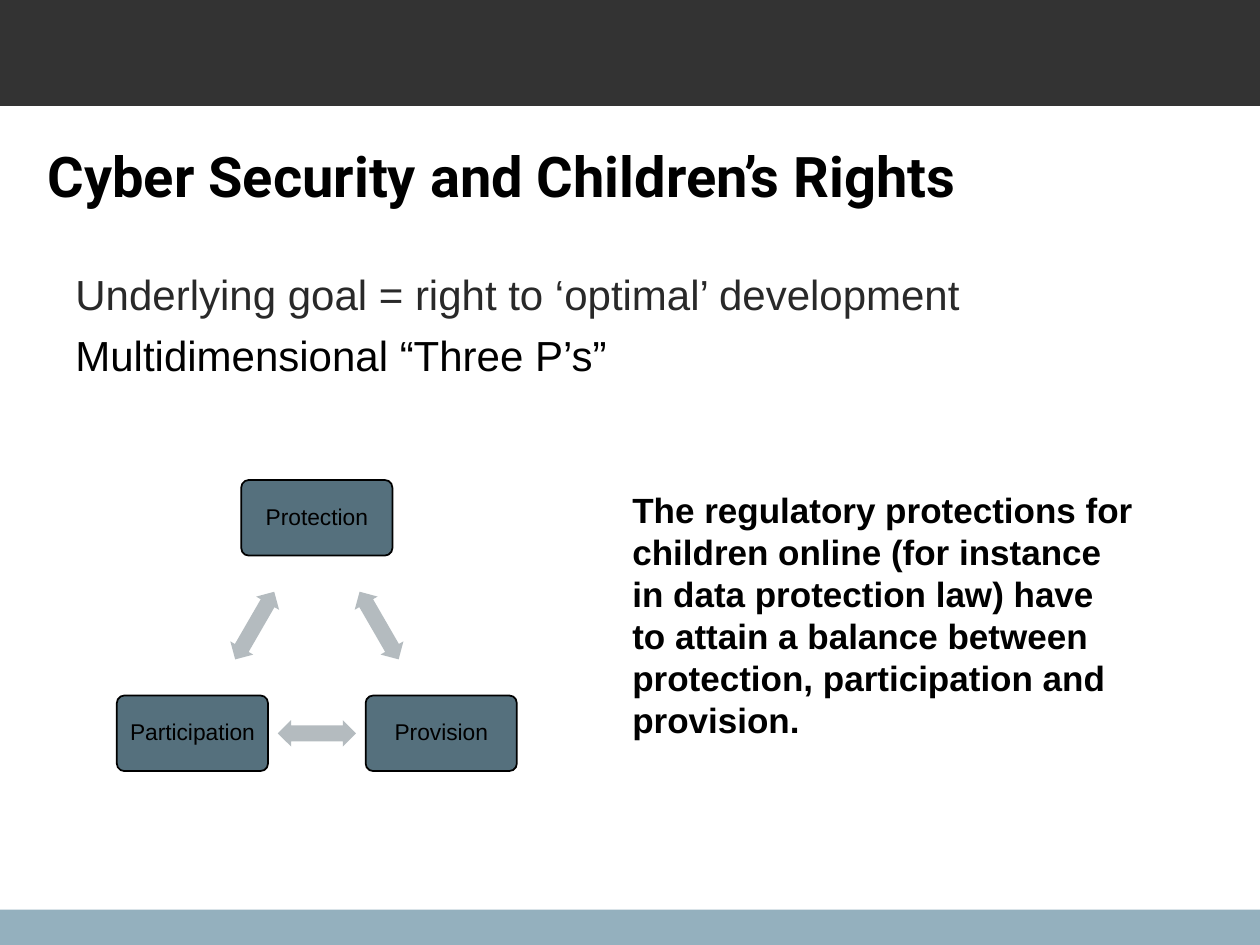
from dataclasses import dataclass
from math import atan2, cos, degrees, radians, sin

from pptx import Presentation
from pptx.dml.color import RGBColor
from pptx.enum.shapes import MSO_SHAPE
from pptx.enum.text import MSO_ANCHOR, PP_ALIGN
from pptx.util import Inches, Pt


@dataclass(frozen=True)
class Theme:
    header: str = "333333"
    footer: str = "94B0BE"
    paper: str = "FFFFFF"
    ink: str = "000000"
    soft_ink: str = "292929"
    node: str = "55707D"
    arrow: str = "B4BBBF"
    heading_font: str = "Roboto"
    body_font: str = "Arial"
    title_size: int = 32
    body_size: int = 24
    note_size: int = 20
    node_size: int = 13


THEME = Theme()
WIDTH, HEIGHT = 10, 7.5
NODE_W, NODE_H = 1.2, 0.6
ARROW_W, ARROW_H = 0.62, 0.21
CYCLE_X, CYCLE_Y, CYCLE_R = 0.2515 * WIDTH, 0.7 * HEIGHT, 0.152 * HEIGHT


def rgb(value):
    return RGBColor.from_string(value)


def add_shape(slide, kind, x, y, w, h, fill, line=None):
    sp = slide.shapes.add_shape(kind, Inches(x), Inches(y), Inches(w), Inches(h))
    sp.shadow.inherit = False
    sp.fill.solid()
    sp.fill.fore_color.rgb = rgb(fill)
    if line:
        sp.line.color.rgb = rgb(line)
        sp.line.width = Pt(1)
    else:
        sp.line.fill.background()
    return sp


def write(sp, lines, size, colors, font=THEME.body_font, bold=False,
          align=PP_ALIGN.LEFT, anchor=MSO_ANCHOR.TOP, gap=0):
    tf = sp.text_frame
    tf.text = "\n".join(lines)
    tf.word_wrap = True
    tf.vertical_anchor = anchor
    for i, (p, color) in enumerate(zip(tf.paragraphs, colors)):
        p.alignment = align
        if i:
            p.space_before = Pt(gap)
        for r in p.runs:
            r.font.name = font
            r.font.size = Pt(size)
            r.font.bold = bold
            r.font.color.rgb = rgb(color)
    return tf


def add_text(slide, x, y, w, h, lines, size, colors, **style):
    sp = slide.shapes.add_textbox(Inches(x), Inches(y), Inches(w), Inches(h))
    write(sp, lines, size, colors, **style)


def add_node(slide, center, label):
    x, y = center
    sp = add_shape(slide, MSO_SHAPE.ROUNDED_RECTANGLE, x - NODE_W / 2, y - NODE_H / 2,
                   NODE_W, NODE_H, THEME.node, THEME.ink)
    sp.adjustments[0] = 0.1
    tf = write(sp, [label], THEME.node_size, [THEME.ink],
               align=PP_ALIGN.CENTER, anchor=MSO_ANCHOR.MIDDLE)
    tf.margin_left = tf.margin_right = Inches(0.05)
    tf.paragraphs[0].line_spacing = 0.9


def add_arrow(slide, start, end):
    (x1, y1), (x2, y2) = start, end
    sp = add_shape(slide, MSO_SHAPE.LEFT_RIGHT_ARROW, (x1 + x2 - ARROW_W) / 2,
                   (y1 + y2 - ARROW_H) / 2, ARROW_W, ARROW_H, THEME.arrow)
    sp.adjustments[0] = 0.6
    sp.adjustments[1] = 0.5
    sp.rotation = round(degrees(atan2(y2 - y1, x2 - x1))) % 360


def add_cycle(slide, labels):
    step = 360 / len(labels)
    angles = [radians(i * step - 90) for i in range(len(labels))]
    centers = [(CYCLE_X + CYCLE_R * cos(a), CYCLE_Y + CYCLE_R * sin(a)) for a in angles]
    for center, following, label in zip(centers, centers[1:] + centers[:1], labels):
        add_node(slide, center, label)
        add_arrow(slide, center, following)


def add_note(slide, x, y, w, h, text):
    sp = add_shape(slide, MSO_SHAPE.RECTANGLE, x, y, w, h, THEME.paper)
    write(sp, [text], THEME.note_size, [THEME.ink], bold=True, anchor=MSO_ANCHOR.MIDDLE)


def main():
    prs = Presentation()
    prs.slide_width, prs.slide_height = Inches(WIDTH), Inches(HEIGHT)
    slide = prs.slides.add_slide(prs.slide_layouts[6])
    add_shape(slide, MSO_SHAPE.RECTANGLE, 0, 7.22, WIDTH, 0.28, THEME.footer)
    add_shape(slide, MSO_SHAPE.RECTANGLE, 0, 0, WIDTH, 0.84, THEME.header)
    add_text(slide, 0.5, 2.08, 0.9 * WIDTH, 1,
             ["Underlying goal = right to ‘optimal’ development",
              "Multidimensional “Three P’s”"],
             THEME.body_size, [THEME.soft_ink, THEME.ink], gap=6)
    add_cycle(slide, ["Protection", "Provision", "Participation"])
    add_note(slide, 4.92, 3.67, 4.19, 2.42,
             "The regulatory protections for children online (for instance in data "
             "protection law) have to attain a balance between protection, "
             "participation and provision.")
    add_text(slide, 0.28, 1.07, 9.06, 1.25, ["Cyber Security and Children’s Rights"],
             THEME.title_size, [THEME.ink], font=THEME.heading_font, bold=True)
    prs.save("out.pptx")


if __name__ == "__main__":
    main()
